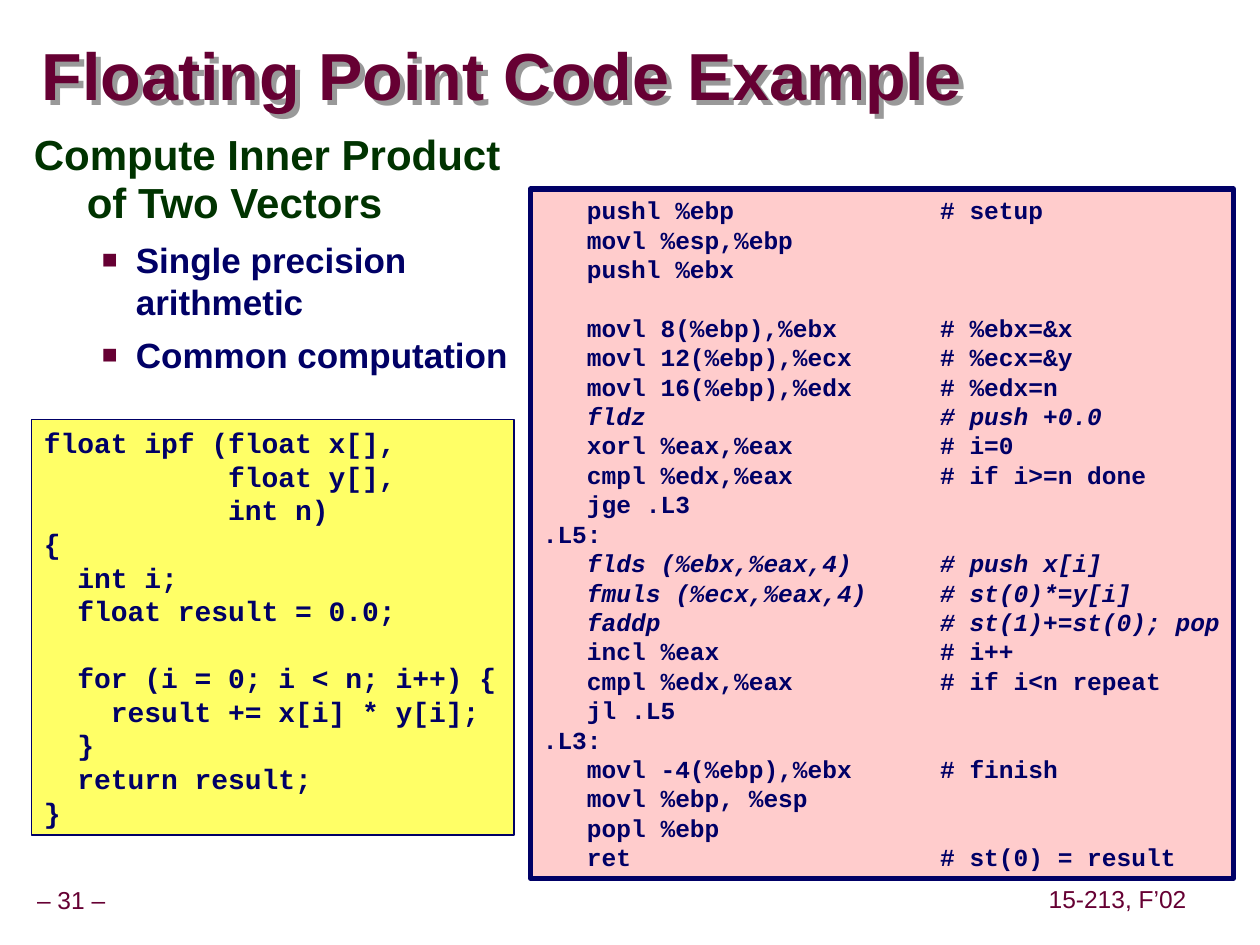
from lxml import etree
from pptx import Presentation, util as u
from pptx.dml.color import RGBColor
from pptx.enum import shapes, text
from pptx.oxml.ns import qn

COLORS = {
    "maroon": "660033", "green": "003300", "navy": "000066",
    "yellow": "FFFF66", "pink": "FFCCCC", "shadow": "999999",
}

C_CODE = """\
float ipf (float x[],
           float y[],
           int n)
{
  int i;
  float result = 0.0;

  for (i = 0; i < n; i++) {
    result += x[i] * y[i];
  }
  return result;
}"""

ASSEMBLY = """\
   pushl %ebp              # setup
   movl %esp,%ebp
   pushl %ebx

   movl 8(%ebp),%ebx       # %ebx=&x
   movl 12(%ebp),%ecx      # %ecx=&y
   movl 16(%ebp),%edx      # %edx=n
   fldz                    # push +0.0
   xorl %eax,%eax          # i=0
   cmpl %edx,%eax          # if i>=n done
   jge .L3
.L5:
   flds (%ebx,%eax,4)      # push x[i]
   fmuls (%ecx,%eax,4)     # st(0)*=y[i]
   faddp                   # st(1)+=st(0); pop
   incl %eax               # i++
   cmpl %edx,%eax          # if i<n repeat
   jl .L5
.L3:
   movl -4(%ebp),%ebx      # finish
   movl %ebp, %esp
   popl %ebp
   ret                     # st(0) = result"""


def color(name):
    return RGBColor.from_string(COLORS[name])


def style(paragraph, size, color_name, bold=True, name="Arial"):
    for item in (paragraph, *paragraph.runs):
        item.font.size = u.Pt(size)
        item.font.bold = bold
        item.font.name = name
        item.font.color.rgb = color(color_name)


def set_frame(frame, inset_x, inset_y, anchor, wrap=True):
    frame.margin_left = frame.margin_right = u.Inches(inset_x)
    frame.margin_top = frame.margin_bottom = u.Inches(inset_y)
    frame.vertical_anchor = anchor
    frame.word_wrap = wrap


def indent(paragraph, left, first):
    properties = paragraph._p.get_or_add_pPr()
    properties.set("marL", str(u.Inches(left)))
    properties.set("indent", str(u.Inches(first)))
    return properties


def add_square_bullet(properties):
    bullet_color = etree.SubElement(properties, qn("a:buClr"))
    etree.SubElement(bullet_color, qn("a:srgbClr"), val=COLORS["maroon"])
    etree.SubElement(properties, qn("a:buSzPct"), val="75000")
    etree.SubElement(properties, qn("a:buFont"), typeface="Arial")
    etree.SubElement(properties, qn("a:buChar"), char="■")


def add_title(slide, box, title):
    shape = slide.shapes.add_textbox(*map(u.Inches, box))
    set_frame(shape.text_frame, 0, 0, text.MSO_ANCHOR.MIDDLE)
    shape.text_frame.text = title
    paragraph = shape.text_frame.paragraphs[0]
    paragraph.line_spacing = 0.87
    style(paragraph, 38, "maroon")
    # Drop shadow down to the right
    effects = etree.SubElement(shape._element.spPr, qn("a:effectLst"))
    shadow = etree.SubElement(effects, qn("a:outerShdw"),
                              dist=str(u.Pt(4)), dir="2700000")
    etree.SubElement(shadow, qn("a:srgbClr"), val=COLORS["shadow"])


def add_outline(slide, box, heading, points):
    shape = slide.shapes.add_textbox(*map(u.Inches, box))
    frame = shape.text_frame
    set_frame(frame, 0.1, 0.05, text.MSO_ANCHOR.TOP)
    frame.text = heading
    paragraph = frame.paragraphs[0]
    indent(paragraph, 0.42, -0.42)
    paragraph.line_spacing = 0.95
    style(paragraph, 24, "green")
    for point in points:
        paragraph = frame.add_paragraph()
        paragraph.text = point
        paragraph.level = 1
        paragraph.space_before = u.Pt(6.2)
        add_square_bullet(indent(paragraph, 0.81, -0.27))
        style(paragraph, 20, "navy")


def add_code(slide, box, code, size, fill, line_width, wrap=True):
    shape = slide.shapes.add_shape(shapes.MSO_SHAPE.RECTANGLE,
                                   *map(u.Inches, box))
    shape.shadow.inherit = False
    shape.fill.solid()
    shape.fill.fore_color.rgb = color(fill)
    shape.line.color.rgb = color("navy")
    shape.line.width = u.Pt(line_width)
    set_frame(shape.text_frame, 0.1, 0.05, text.MSO_ANCHOR.TOP, wrap)
    shape.text_frame.text = code
    for paragraph in shape.text_frame.paragraphs:
        paragraph.alignment = text.PP_ALIGN.LEFT
        style(paragraph, size, "navy", name="Courier New")
        # Floating point instructions stand out in italics
        for run in paragraph.runs:
            run.font.italic = run.text.lstrip().startswith("f") and fill == "pink"


def add_footer(slide, box, label):
    shape = slide.shapes.add_textbox(*map(u.Inches, box))
    set_frame(shape.text_frame, 0.05, 0.05, text.MSO_ANCHOR.MIDDLE, wrap=False)
    shape.text_frame.text = label
    paragraph = shape.text_frame.paragraphs[0]
    paragraph.alignment = text.PP_ALIGN.CENTER
    paragraph.line_spacing = 0.9
    style(paragraph, 14, "maroon", bold=False)


def main():
    presentation = Presentation()
    presentation.slide_width = u.Inches(10)
    presentation.slide_height = u.Inches(7.5)
    slide = presentation.slides.add_slide(presentation.slide_layouts[6])

    add_footer(slide, (-0.09, 7, 1.31, 0.31), "– 31 –")
    add_footer(slide, (8.27, 6.99, 1.2, 0.31), "15-213, F’02")
    add_title(slide, (0.33, 0.33, 8.22, 0.61), "Floating Point Code Example")
    add_outline(slide, (0.17, 1, 4.25, 6),
                "Compute Inner Product of Two Vectors",
                ["Single precision arithmetic", "Common computation"])
    add_code(slide, (0.25, 3.33, 3.83, 3.3), C_CODE, 16, "yellow", 1)
    add_code(slide, (4.21, 1.5, 5.58, 5.47), ASSEMBLY, 14, "pink", 3, wrap=False)

    presentation.save("out.pptx")


if __name__ == "__main__":
    main()
